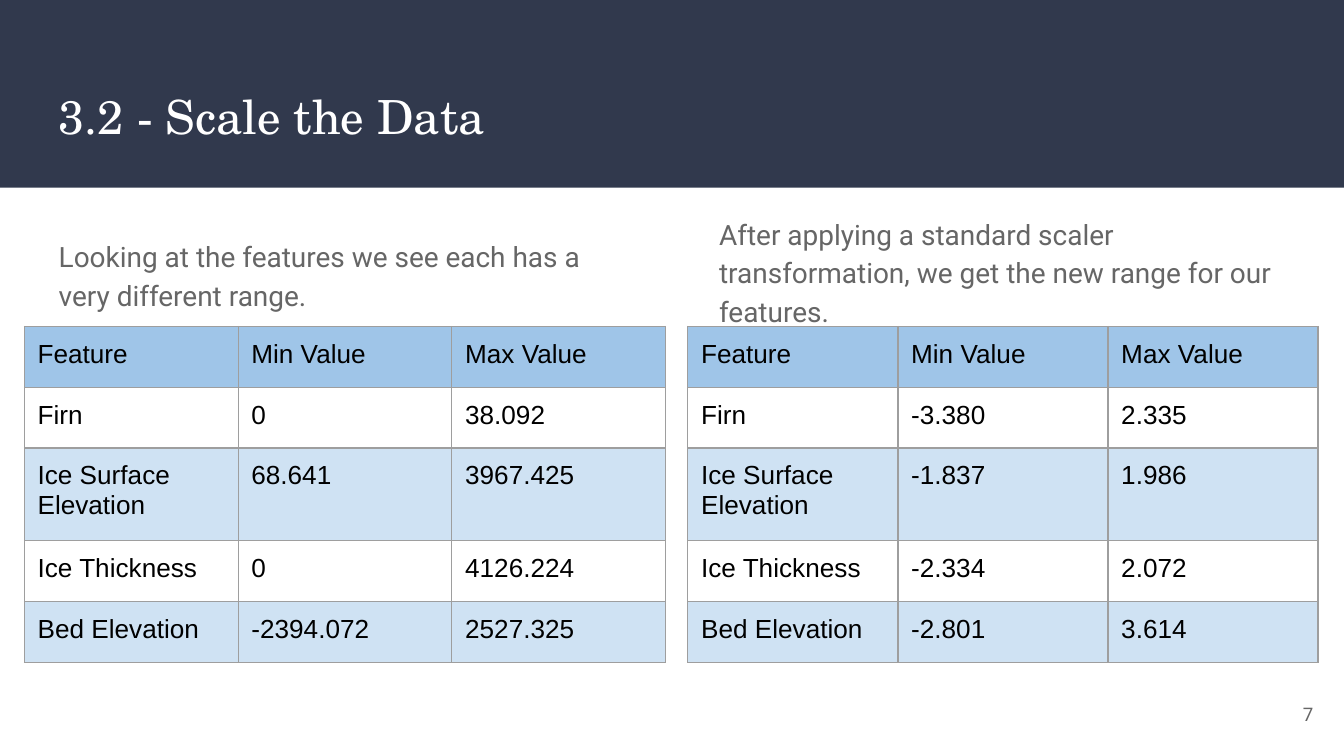
from pptx import Presentation
from pptx.dml.color import RGBColor
from pptx.enum.shapes import MSO_SHAPE
from pptx.enum.text import MSO_ANCHOR, MSO_AUTO_SIZE, PP_ALIGN
from pptx.oxml import parse_xml
from pptx.oxml.ns import nsdecls
from pptx.util import Cm, Pt

RECT = MSO_SHAPE.RECTANGLE
TOP, MIDDLE = MSO_ANCHOR.TOP, MSO_ANCHOR.MIDDLE
NO_FIT = MSO_AUTO_SIZE.NONE
LEFT, RIGHT = PP_ALIGN.LEFT, PP_ALIGN.RIGHT

COLORS = {
    "banner": "31394D",
    "title": "FFFFFF",
    "body": "666666",
    "cell": "000000",
    "header": "9FC5E8",
    "band": "CFE2F3",
    "plain": "FFFFFF",
    "border": "9E9E9E",
}
PAD = Cm(0.25)
HEADER = ["Feature", "Min Value", "Max Value"]
FEATURES = ["Firn", "Ice Surface Elevation", "Ice Thickness", "Bed Elevation"]
ROW_HEIGHTS = [1.15, 1.15, 1.75, 1.15, 1.15]
PANELS = [
    {
        "text": "Looking at the features we see each has a very different range.",
        "text_at": (0.86, 4.19),
        "table_left": 0.46,
        "col_width": 4.04,
        "ranges": [("0", "38.092"), ("68.641", "3967.425"),
                   ("0", "4126.224"), ("-2394.072", "2527.325")],
    },
    {
        "text": "After applying a standard scaler transformation, "
                "we get the new range for our features.",
        "text_at": (13.34, 3.76),
        "table_left": 13.0,
        "col_width": 3.97,
        "ranges": [("-3.380", "2.335"), ("-1.837", "1.986"),
                   ("-2.334", "2.072"), ("-2.801", "3.614")],
    },
]


def set_text(tf, text, font, size, color, align=LEFT, anchor=TOP):
    tf.text = text
    tf.word_wrap = True
    tf.auto_size = NO_FIT
    tf.vertical_anchor = anchor
    tf.margin_left = tf.margin_right = tf.margin_top = tf.margin_bottom = PAD
    p = tf.paragraphs[0]
    p.alignment = align
    p.space_before = Pt(0)
    p.font.name = font
    p.font.size = Pt(size)
    p.font.color.rgb = RGBColor.from_string(COLORS[color])
    return p


def style_cell(cell, text, fill):
    cell.margin_left = cell.margin_right = PAD
    cell.margin_top = cell.margin_bottom = PAD
    p = cell.text_frame.paragraphs[0]
    p.text = text
    p.font.name = "Arial"
    p.font.size = Pt(14)
    p.font.color.rgb = RGBColor.from_string(COLORS["cell"])
    tcPr = cell._tc.get_or_add_tcPr()
    for side in ("lnL", "lnR", "lnT", "lnB"):
        tcPr.append(parse_xml(
            f'<a:{side} {nsdecls("a")} w="{Pt(0.75)}"><a:solidFill>'
            f'<a:srgbClr val="{COLORS["border"]}"/></a:solidFill></a:{side}>'))
    cell.fill.solid()
    cell.fill.fore_color.rgb = RGBColor.from_string(COLORS[fill])


prs = Presentation()
prs.slide_width = Cm(25.4)
prs.slide_height = Cm(14.29)
s = prs.slides.add_slide(prs.slide_layouts[3])

banner = s.shapes.add_shape(RECT, 0, 0, prs.slide_width, Cm(3.55))
banner.shadow.inherit = False
banner.fill.solid()
banner.fill.fore_color.rgb = RGBColor.from_string(COLORS["banner"])
banner.line.fill.background()
s.shapes._spTree.insert(2, banner._element)

title = s.shapes.title
title.left, title.top, title.width, title.height = Cm(0.86), Cm(1.4), Cm(23.67), Cm(1.73)
set_text(title.text_frame, "3.2 - Scale the Data", "TeX Gyre Schola", 25.2, "title")

for idx, panel in enumerate(PANELS, start=1):
    body = s.placeholders[idx]
    body.left, body.top = [Cm(v) for v in panel["text_at"]]
    body.width, body.height = Cm(11.1), Cm(8.53)
    p = set_text(body.text_frame, panel["text"], "Roboto", 15, "body")
    p.line_spacing = 1.15
    pPr = p._p.get_or_add_pPr()
    pPr.set("marL", "0")
    pPr.set("indent", "0")
    pPr.insert_element_before(parse_xml(f'<a:buNone {nsdecls("a")}/>'), "a:tabLst", "a:defRPr")

    rows = [HEADER] + [[name, *r] for name, r in zip(FEATURES, panel["ranges"])]
    table = s.shapes.add_table(
        len(rows), len(HEADER), Cm(panel["table_left"]), Cm(6.17),
        Cm(panel["col_width"] * len(HEADER)), Cm(sum(ROW_HEIGHTS))).table
    for col in table.columns:
        col.width = Cm(panel["col_width"])
    for i, values in enumerate(rows):
        table.rows[i].height = Cm(ROW_HEIGHTS[i])
        fill = "header" if i == 0 else "plain" if i % 2 else "band"
        for j, value in enumerate(values):
            style_cell(table.cell(i, j), value, fill)

number = s.shapes.add_textbox(Cm(23.55), Cm(12.95), Cm(1.52), Cm(1.09))
set_text(number.text_frame, "7", "Roboto", 10, "body", RIGHT, MIDDLE)

prs.save("out.pptx")
